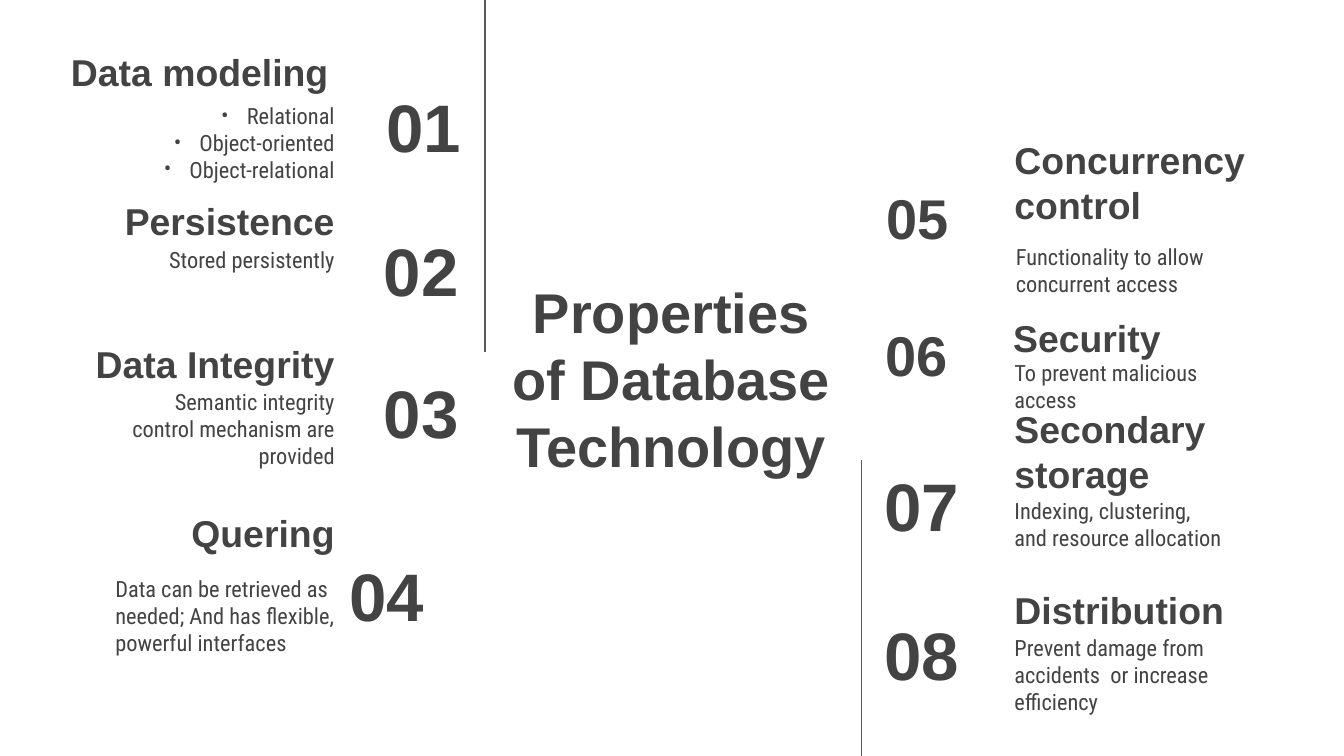
"""Build a slide that lists eight properties of database technology around its title."""
from dataclasses import dataclass

import pptx
import pptx.dml.color
import pptx.enum.shapes
import pptx.enum.text
import pptx.oxml
import pptx.oxml.ns
import pptx.shapes.autoshape
import pptx.slide
import pptx.util

Inches = pptx.util.Inches
Align = pptx.enum.text.PP_ALIGN
Anchor = pptx.enum.text.MSO_ANCHOR

INK = pptx.dml.color.RGBColor(0x43, 0x43, 0x43)
RULE = pptx.dml.color.RGBColor(0x59, 0x59, 0x59)
HEADING_FONT = "Arial"
BODY_FONT = "Roboto Condensed"
SLIDE_WIDTH = 10
SLIDE_HEIGHT = SLIDE_WIDTH * 9 / 16
ROW_HEIGHT = 0.63
HEADING_WIDTH = 2.16
BODY_WIDTH = 1.83
BULLET_INDENT = 0.19


@dataclass(frozen=True)
class Box:
    left: float
    top: float
    width: float
    height: float = ROW_HEIGHT


@dataclass(frozen=True)
class Property:
    number: str
    number_box: Box
    heading: str
    heading_left: float
    heading_top: float
    body: tuple[str, ...]
    body_left: float
    body_top: float
    number_size: int = 36
    number_align: Align = Align.LEFT
    heading_align: Align = Align.LEFT
    heading_height: float = ROW_HEIGHT
    body_align: Align = Align.LEFT
    bulleted: bool = False


RIGHT = Align.RIGHT
PROPERTIES = (
    Property("01", Box(2.32, 0.62, 1.21), "Data modeling", 0.43, 0.13,
             ("Relational", "Object-oriented", "Object-relational"), 0.76, 0.66,
             number_align=RIGHT, heading_height=0.67, body_align=RIGHT, bulleted=True),
    Property("02", Box(2.3, 1.69, 1.21), "Persistence", 0.43, 1.28,
             ("Stored persistently",), 0.76, 1.73,
             number_align=RIGHT, heading_align=RIGHT, body_align=RIGHT),
    Property("03", Box(2.3, 2.75, 1.21), "Data Integrity", 0.43, 2.34,
             ("Semantic integrity control mechanism are provided",), 0.76, 2.79,
             number_align=RIGHT, heading_align=RIGHT, body_align=RIGHT),
    Property("04", Box(2.5, 4.11, 1.11), "Quering", 0.43, 3.6,
             ("Data can be retrieved as needed; And has flexible, powerful interfaces",),
             0.76, 4.18, heading_align=RIGHT),
    Property("05", Box(6.5, 1.3, 1.17), "Concurrency control", 7.45, 1.16,
             ("Functionality to allow concurrent access",), 7.46, 1.71, number_size=30),
    Property("06", Box(6.49, 2.32, 1.17), "Security", 7.44, 2.15,
             ("To prevent malicious access",), 7.45, 2.57, number_size=30),
    Property("07", Box(6.48, 3.44, 1.17), "Secondary storage", 7.45, 3.16,
             ("Indexing, clustering,", "and resource allocation"), 7.45, 3.6),
    Property("08", Box(6.48, 4.55, 1.17), "Distribution", 7.45, 4.17,
             ("Prevent damage from accidents  or increase efficiency",), 7.45, 4.62),
)


def write(shape: pptx.shapes.autoshape.Shape, lines: tuple[str, ...], *, size: int,
          font: str = HEADING_FONT, bold: bool = True, align: Align = Align.LEFT,
          anchor: Anchor = Anchor.MIDDLE, bulleted: bool = False) -> None:
    """Fill a shape with formatted paragraphs."""
    frame = shape.text_frame
    frame.word_wrap = True
    frame.auto_size = pptx.enum.text.MSO_AUTO_SIZE.NONE
    frame.vertical_anchor = anchor
    frame.margin_left = frame.margin_right = Inches(0.1)
    frame.margin_top = frame.margin_bottom = Inches(0.1)
    frame.text = "\n".join(lines)
    for paragraph in frame.paragraphs:
        paragraph.alignment = align
        if bulleted:
            properties = paragraph._p.get_or_add_pPr()
            properties.set("marL", str(Inches(BULLET_INDENT)))
            properties.set("indent", str(-Inches(BULLET_INDENT)))
            namespace = pptx.oxml.ns.nsdecls("a")
            for element in (
                f'<a:buClr {namespace}><a:srgbClr val="{INK}"/></a:buClr>',
                f'<a:buFont {namespace} typeface="{font}"/>',
                f'<a:buChar {namespace} char="•"/>',
            ):
                properties.append(pptx.oxml.parse_xml(element))
        for run in paragraph.runs:
            run.font.name = font
            run.font.size = pptx.util.Pt(size)
            run.font.bold = bold
            run.font.color.rgb = INK


def add_box(slide: pptx.slide.Slide, box: Box) -> pptx.shapes.autoshape.Shape:
    """Add an empty text box."""
    return slide.shapes.add_textbox(Inches(box.left), Inches(box.top),
                                    Inches(box.width), Inches(box.height))


def add_property(slide: pptx.slide.Slide, item: Property) -> None:
    """Draw the number, heading and body of one property."""
    write(add_box(slide, item.number_box), (item.number,),
          size=item.number_size, align=item.number_align)
    heading_box = Box(item.heading_left, item.heading_top,
                      HEADING_WIDTH, item.heading_height)
    write(add_box(slide, heading_box), (item.heading,),
          size=20, align=item.heading_align, anchor=Anchor.BOTTOM)
    write(add_box(slide, Box(item.body_left, item.body_top, BODY_WIDTH)),
          item.body, size=12, font=BODY_FONT, bold=False, align=item.body_align,
          anchor=Anchor.TOP, bulleted=item.bulleted)


def add_rule(slide: pptx.slide.Slide, x: float, top: float, bottom: float) -> None:
    """Draw a thin vertical line."""
    rule = slide.shapes.add_connector(pptx.enum.shapes.MSO_CONNECTOR.STRAIGHT,
                                      Inches(x), Inches(top), Inches(x), Inches(bottom))
    rule.line.color.rgb = RULE
    rule.line.width = pptx.util.Pt(0.75)
    rule._element.spPr.append(
        pptx.oxml.parse_xml(f'<a:effectLst {pptx.oxml.ns.nsdecls("a")}/>'))


def main() -> None:
    """Build and save the presentation."""
    deck = pptx.Presentation()
    deck.slide_width, deck.slide_height = Inches(SLIDE_WIDTH), Inches(SLIDE_HEIGHT)
    slide = deck.slides.add_slide(deck.slide_layouts.get_by_name("Title Only"))
    title = slide.shapes.title
    title.left, title.top = Inches(3.7), Inches(2.3)
    title.width, title.height = Inches(2.59), Inches(1.03)
    write(title, ("Properties of Database Technology",), size=30, align=Align.CENTER)
    for item in PROPERTIES:
        add_property(slide, item)
    add_rule(slide, 3.61, 0, 2.62)
    add_rule(slide, 6.41, 3.42, 5.64)
    deck.save("out.pptx")


if __name__ == "__main__":
    main()
